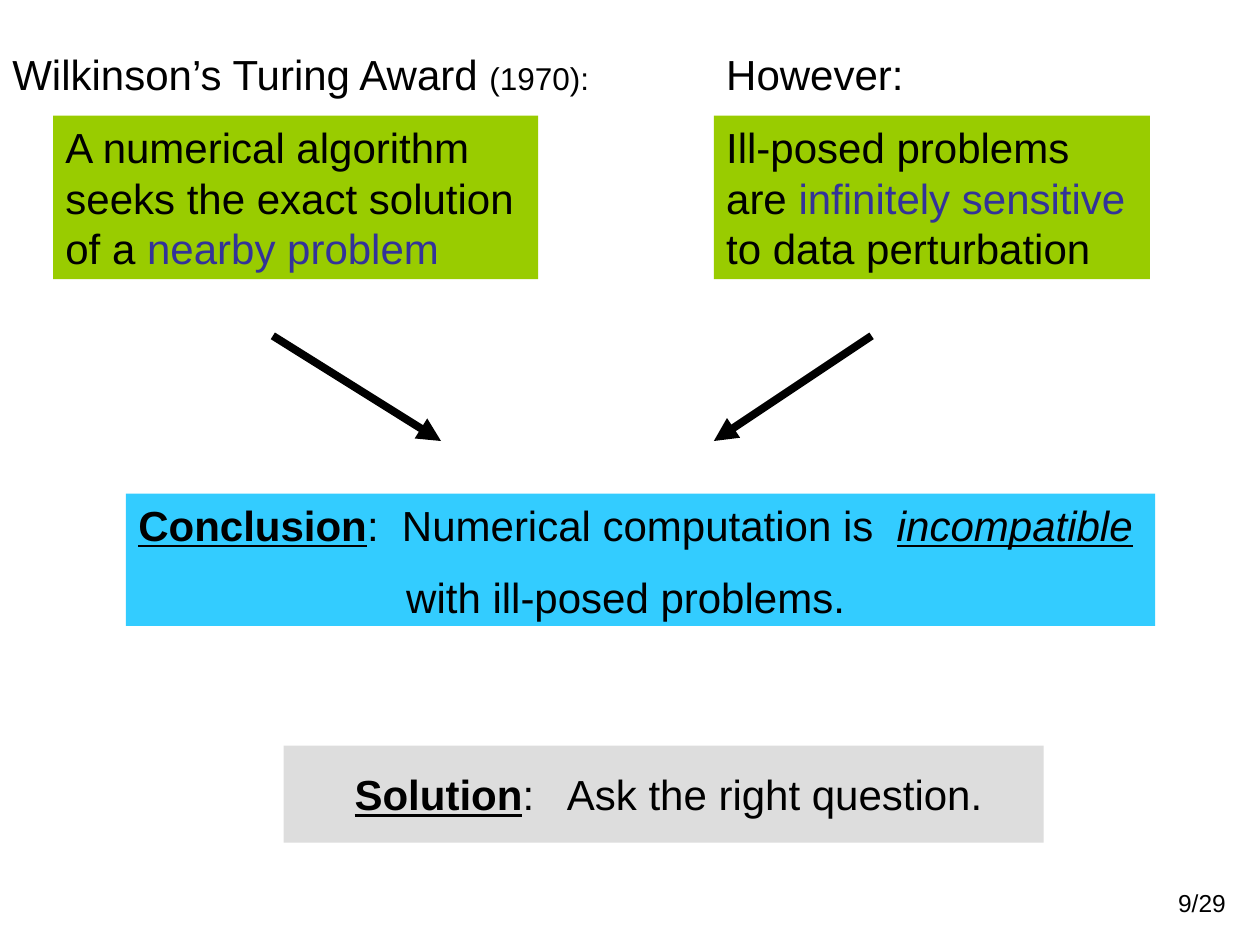
from dataclasses import dataclass

from lxml.etree import SubElement
from pptx import Presentation
from pptx.dml.color import RGBColor
from pptx.enum.shapes import MSO_CONNECTOR as Connector
from pptx.enum.shapes import MSO_SHAPE as Shape
from pptx.enum.text import MSO_ANCHOR as Anchor
from pptx.enum.text import PP_ALIGN as Align
from pptx.oxml.ns import qn
from pptx.util import Cm, Pt

BLACK, INDIGO = "000000", "333399"
GREEN, CYAN, GRAY = "99CC00", "33CCFF", "DDDDDD"


def color(hex_string):
    return RGBColor.from_string(hex_string)


@dataclass
class Span:
    text: str
    size: float = 24
    color: str = BLACK
    bold: bool = False
    italic: bool = False
    underline: bool = False


@dataclass
class Line:
    spans: list
    indent: float = 0
    before: float = 0


class SlideBuilder:
    font = "Arial"
    arrow_width = 4.5

    def __init__(self, page):
        self.page = page

    def fill_text(self, box, lines, wrap=False, anchor=Anchor.TOP):
        frame = box.text_frame
        frame.word_wrap = wrap
        frame.vertical_anchor = anchor
        for index, line in enumerate(lines):
            para = frame.paragraphs[0] if index == 0 else frame.add_paragraph()
            para.alignment = Align.LEFT
            para.space_before = Pt(line.before)
            if line.indent:
                para._p.get_or_add_pPr().set("marL", str(Cm(line.indent)))
            for span in line.spans:
                run = para.add_run()
                run.text = span.text
                font = run.font
                font.name, font.size = self.font, Pt(span.size)
                font.bold, font.italic = span.bold, span.italic
                font.underline = span.underline
                font.color.rgb = color(span.color)

    def label(self, left, top, width, height, *spans):
        box = self.page.shapes.add_textbox(Cm(left), Cm(top), Cm(width), Cm(height))
        self.fill_text(box, [Line(spans)])

    def panel(self, left, top, width, height, fill, lines, wrap=False, anchor=Anchor.TOP):
        box = self.page.shapes.add_shape(
            Shape.RECTANGLE, Cm(left), Cm(top), Cm(width), Cm(height))
        box.shadow.inherit = False
        box.fill.solid()
        box.fill.fore_color.rgb = color(fill)
        box.line.fill.background()
        self.fill_text(box, lines, wrap, anchor)

    def arrow(self, start_x, start_y, end_x, end_y):
        arrow = self.page.shapes.add_connector(
            Connector.STRAIGHT, Cm(start_x), Cm(start_y), Cm(end_x), Cm(end_y))
        arrow.line.color.rgb = color(BLACK)
        arrow.line.width = Pt(self.arrow_width)
        properties = arrow._element.spPr
        SubElement(properties.find(qn("a:ln")), qn("a:tailEnd"), type="triangle")
        SubElement(properties, qn("a:effectLst"))


def main():
    deck = Presentation()
    deck.slide_width, deck.slide_height = Cm(25.4), Cm(19.05)
    slide = SlideBuilder(deck.slides.add_slide(deck.slide_layouts[6]))

    # Conclusion
    slide.panel(2.54, 9.95, 20.75, 2.67, CYAN, [
        Line([Span("Conclusion", bold=True, underline=True),
              Span(":  Numerical computation is  "),
              Span("incompatible", italic=True, underline=True)]),
        Line([Span("with ill-posed problems.")], indent=5.4, before=12),
    ], wrap=True)

    # Arrows from the two premises to the conclusion
    arrow_top, arrow_bottom = 6.77, 8.89
    for start_x, end_x in ((5.5, 8.89), (17.57, 14.39)):
        slide.arrow(start_x, arrow_top, end_x, arrow_bottom)

    # Solution
    slide.panel(5.72, 15.03, 15.32, 1.96, GRAY, [
        Line([Span("Solution", bold=True, underline=True),
              Span(":   Ask the right question.")], indent=1.18),
    ], wrap=True, anchor=Anchor.MIDDLE)

    # Premises
    heading_top, heading_height = 0.85, 1.28
    premise_top, premise_height = 2.33, 3.3
    slide.label(14.39, heading_top, 4.09, heading_height, Span("However:"))
    slide.panel(14.39, premise_top, 8.79, premise_height, GREEN, [
        Line([Span("Ill-posed problems")]),
        Line([Span("are "), Span("infinitely sensitive", color=INDIGO)]),
        Line([Span("to data perturbation")]),
    ])
    slide.label(0, heading_top, 12.24, heading_height,
                Span("Wilkinson’s Turing Award "), Span("(1970):", size=18))
    slide.panel(1.07, premise_top, 9.78, premise_height, GREEN, [
        Line([Span("A numerical algorithm")]),
        Line([Span("seeks the exact solution")]),
        Line([Span("of a "), Span("nearby problem", color=INDIGO)]),
    ])

    # Page number
    slide.label(23.5, 17.78, 1.47, 0.86, Span("9/29", size=14))

    deck.save("out.pptx")


if __name__ == "__main__":
    main()
